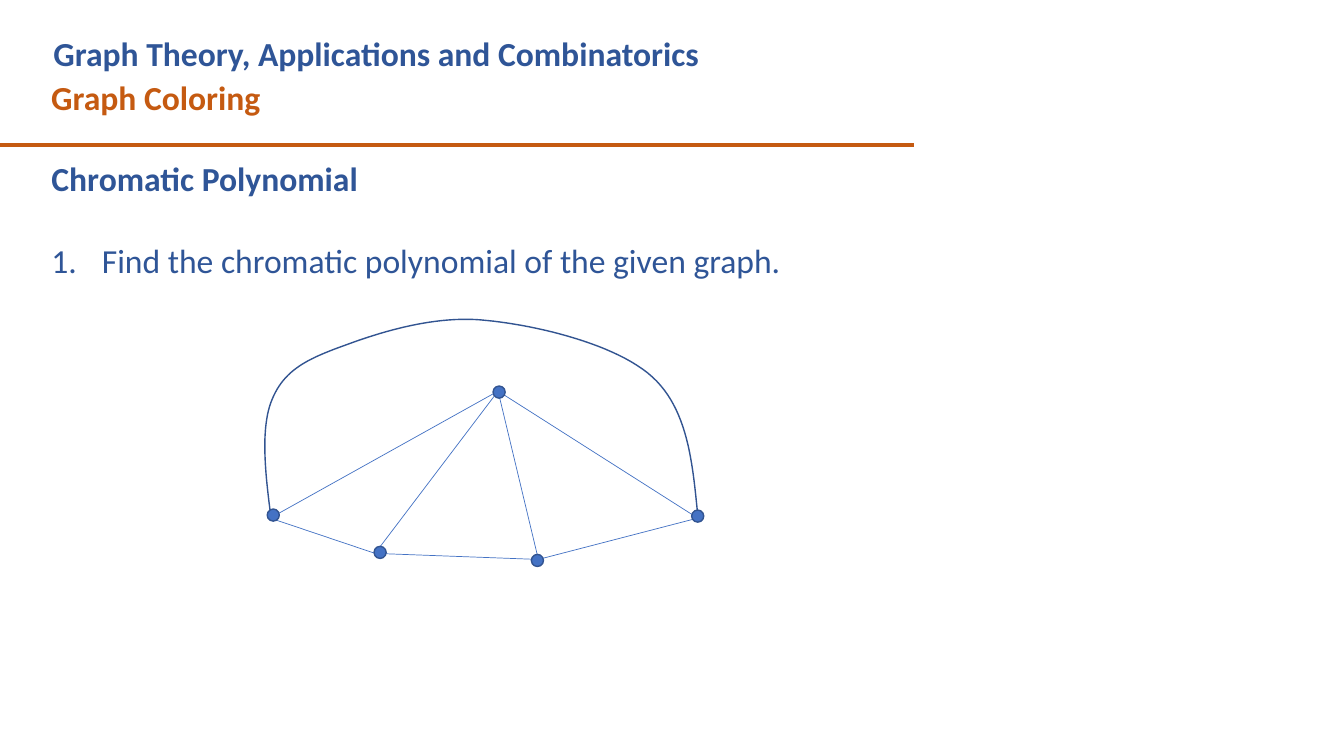
from dataclasses import dataclass

from lxml.etree import SubElement
from pptx import Presentation
from pptx.dml.color import RGBColor
from pptx.enum.shapes import MSO_CONNECTOR, MSO_SHAPE
from pptx.enum.text import MSO_ANCHOR, MSO_AUTO_SIZE, PP_ALIGN
from pptx.oxml.ns import qn
from pptx.util import Inches, Pt


@dataclass(frozen=True)
class Theme:
    """Colours, font and type sizes of the slide."""
    navy: str = "2F5597"
    rust: str = "C55A11"
    blue: str = "4472C4"
    rim: str = "325491"
    font: str = "Calibri"
    size: float = 24
    gap: float = 29.3


THEME = Theme()
JOINTS = {"apex": (2.31, 0.71), "left": (0.05, 1.97), "low": (1.09, 2.32),
          "base": (2.71, 2.38), "right": (4.29, 1.97)}
DOTS = [(2.32, 0.72), (2.70, 2.39), (4.29, 1.95), (1.14, 2.31), (0.08, 1.94)]
RING = ["left", "low", "base", "right"]
EDGES = [("apex", end) for end in RING] + list(zip(RING, RING[1:]))
START = (0.06, 1.98)
CURVES = [
    ((0, 1.53), (-0.05, 1.07), (0.07, 0.79)),
    ((0.19, 0.5), (0.42, 0.39), (0.78, 0.26)),
    ((1.13, 0.13), (1.69, -0.05), (2.2, 0.01)),
    ((2.71, 0.06), (3.49, 0.25), (3.84, 0.57)),
    ((4.19, 0.89), (4.24, 1.42), (4.29, 1.94)),
]


def place(shape, box):
    """Move a text shape to its box and return its prepared frame."""
    shape.left, shape.top, shape.width, shape.height = map(Inches, box)
    frame = shape.text_frame
    frame.word_wrap = True
    frame.auto_size = MSO_AUTO_SIZE.NONE
    frame.vertical_anchor = MSO_ANCHOR.TOP
    return frame


def write(para, text, tint, bold=True, align=PP_ALIGN.LEFT, before=0):
    """Add one styled run to a paragraph."""
    para.alignment = align
    para.space_before = Pt(before)
    run = para.add_run()
    run.text = text
    font = run.font
    font.name, font.size, font.bold = THEME.font, Pt(THEME.size), bold
    font.color.rgb = RGBColor.from_string(tint)


def mark(para, tag, indent=0, **attrs):
    """Set the bullet kind and hanging indent of a paragraph."""
    props = para._p.get_or_add_pPr()
    props.set("marL", str(Inches(indent)))
    props.set("indent", str(-Inches(indent)))
    SubElement(props, qn(tag), **attrs)


def stroke(shapes, start, end, tint, width):
    """Draw a straight line without a shadow."""
    line = shapes.add_connector(MSO_CONNECTOR.STRAIGHT,
                                *map(Inches, start + end))
    line.line.color.rgb = RGBColor.from_string(tint)
    line.line.width = Pt(width)
    SubElement(line._element.spPr, qn("a:effectLst"))


def outline(shape):
    """Give a shape the thin dark rim and no shadow."""
    shape.shadow.inherit = False
    shape.line.color.rgb = RGBColor.from_string(THEME.rim)
    shape.line.width = Pt(1)


def header(slide, box):
    """Place the course title, the topic and the rule below them."""
    left, top, width, height = box
    topic = place(slide.shapes.add_textbox(0, 0, 0, 0),
                  (left, top + 0.43, width, 0.5))
    write(topic.paragraphs[0], "Graph Coloring", THEME.rust)
    stroke(slide.shapes, (0, top + height), (left + width - 0.09, top + height),
           THEME.rust, 3)
    title = place(slide.shapes.title, (left + 0.02, top, 8.2, 0.5))
    write(title.paragraphs[0], "Graph Theory, Applications and Combinatorics",
          THEME.navy)


def body(slide, box):
    """Place the section heading and the numbered task."""
    frame = place(slide.placeholders[1], box)
    head = frame.paragraphs[0]
    mark(head, "a:buNone")
    write(head, "Chromatic Polynomial", THEME.navy, align=PP_ALIGN.JUSTIFY)
    task = frame.add_paragraph()
    mark(task, "a:buAutoNum", 0.5, type="arabicPeriod")
    write(task, "Find the chromatic polynomial of the given graph.", THEME.navy,
          False, PP_ALIGN.JUSTIFY, THEME.gap)


def bezier(start, curve, steps=24):
    """Return points along a cubic curve, after its start."""
    points = []
    for step in range(1, steps + 1):
        t = step / steps
        parts = ((1 - t) ** 3, 3 * t * (1 - t) ** 2, 3 * t * t * (1 - t), t ** 3)
        points.append(tuple(sum(part * spot[axis] for part, spot
                                in zip(parts, (start, *curve)))
                            for axis in (0, 1)))
    return points


def graph(slide, box, dot=0.12):
    """Draw the edges, the outer arc and the nodes of the graph."""
    left, top = box[:2]
    shapes = slide.shapes.add_group_shape().shapes

    def shift(spot):
        """Move a spot from the box to the slide."""
        return left + spot[0], top + spot[1]

    for start, end in EDGES:
        stroke(shapes, shift(JOINTS[start]), shift(JOINTS[end]), THEME.blue, 0.5)

    spots = [START]
    for curve in CURVES:
        spots += bezier(spots[-1], curve)
    points = [tuple(map(Inches, shift(spot))) for spot in spots]
    pen = shapes.build_freeform(*points[0])
    pen.add_line_segments(points[1:], close=False)
    arc = pen.convert_to_shape()
    arc.fill.background()
    outline(arc)

    for spot in DOTS:
        x, y = shift(spot)
        node = shapes.add_shape(MSO_SHAPE.OVAL, Inches(x - dot / 2),
                                Inches(y - dot / 2), Inches(dot), Inches(dot))
        node.fill.solid()
        node.fill.fore_color.rgb = RGBColor.from_string(THEME.blue)
        outline(node)


def main():
    """Build and save the slide."""
    deck = Presentation()
    deck.slide_width, deck.slide_height = Inches(13.33), Inches(7.5)
    slide = deck.slides.add_slide(deck.slide_layouts[1])
    header(slide, (0.41, 0.28, 8.75, 1.16))
    body(slide, (0.41, 1.52, 11.08, 2.12))
    graph(slide, (2.63, 3.17, 4.35, 2.45))
    deck.save("out.pptx")


if __name__ == "__main__":
    main()
